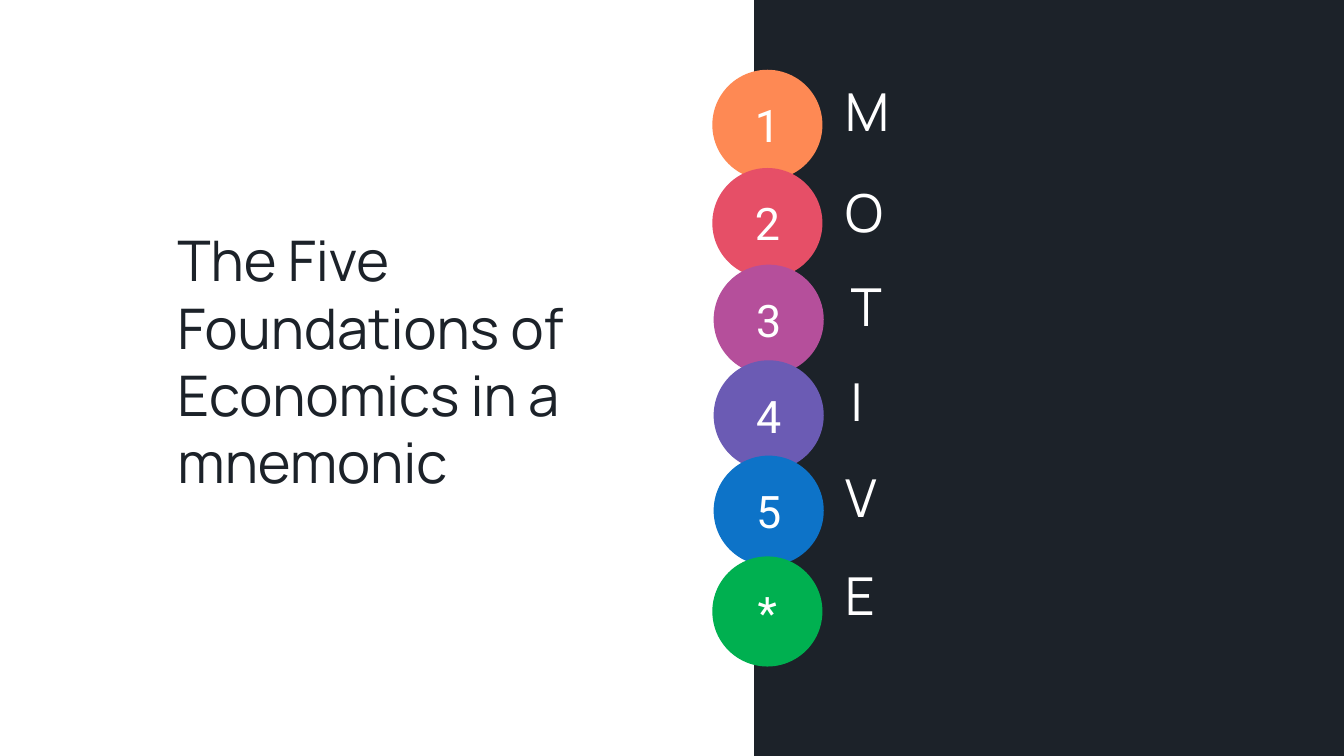
from dataclasses import dataclass

from pptx import Presentation
from pptx.dml.color import RGBColor
from pptx.enum.shapes import MSO_SHAPE
from pptx.enum.text import MSO_ANCHOR, MSO_AUTO_SIZE, PP_ALIGN
from pptx.util import Pt

RECT, OVAL = MSO_SHAPE.RECTANGLE, MSO_SHAPE.OVAL
TOP, MIDDLE = MSO_ANCHOR.TOP, MSO_ANCHOR.MIDDLE
LEFT, CENTER = PP_ALIGN.LEFT, PP_ALIGN.CENTER
GROW = MSO_AUTO_SIZE.SHAPE_TO_FIT_TEXT

SLIDE_W, SLIDE_H = 720, 405
PANEL_X = 404
BADGE_SIZE = 59
LETTER_W, LETTER_H = 175.7, 41


@dataclass(frozen=True)
class Theme:
    dark: str = "1C2229"
    light: str = "FFFFFF"
    heading_font: str = "Manrope"
    badge_font: str = "Roboto"
    title_size: int = 30
    letter_size: int = 28
    badge_size: int = 24


THEME = Theme()

# Badge mark, colour, left and top; letter, left and top
STEPS = [
    ("1", "FE8954", 381.6, 37.4, "M", 445.7, 38.9),
    ("2", "E64F67", 381.6, 90, "O", 445.7, 92.9),
    ("3", "B54F9B", 382.3, 141.8, "T", 448.6, 143.3),
    ("4", "6B5BB4", 382.3, 193, "I", 448.6, 194.4),
    ("5", "0D73C8", 382.3, 244.1, "V", 445.7, 245.5),
    ("*", "00B050", 381.6, 298.1, "E", 445.7, 298.1),
]


def write(sp, text, font, size, color, align=LEFT, anchor=TOP):
    """Put one formatted paragraph into a shape."""
    tf = sp.text_frame
    tf.word_wrap = True
    tf.vertical_anchor = anchor
    p = tf.paragraphs[0]
    for name, value in {"alignment": align, "line_spacing": 1.0}.items():
        setattr(p, name, value)
    r = p.add_run()
    r.text = text
    for name, value in {"name": font, "size": Pt(size), "bold": False}.items():
        setattr(r.font, name, value)
    r.font.color.rgb = RGBColor.from_string(color)


def add_filled(s, kind, box, color):
    """Add a flat shape without outline or shadow."""
    sp = s.shapes.add_shape(kind, *map(Pt, box))
    sp.shadow.inherit = False
    sp.fill.solid()
    sp.fill.fore_color.rgb = RGBColor.from_string(color)
    sp.line.fill.background()
    return sp


def add_title(s, text):
    sp = s.shapes.title
    box = {"left": 87.8, "top": 117.4, "width": 228.2, "height": 152.6}
    for name, value in box.items():
        setattr(sp, name, Pt(value))
    write(sp, text, THEME.heading_font, THEME.title_size, THEME.dark)
    sp.text_frame.auto_size = GROW


def add_badge(s, mark, color, x, y):
    sp = add_filled(s, OVAL, (x, y, BADGE_SIZE, BADGE_SIZE), color)
    write(sp, mark, THEME.badge_font, THEME.badge_size, THEME.light,
          CENTER, MIDDLE)


def add_letter(s, letter, x, y):
    sp = s.shapes.add_textbox(*map(Pt, (x, y, LETTER_W, LETTER_H)))
    write(sp, letter, THEME.heading_font, THEME.letter_size, THEME.light)
    sp.text_frame.auto_size = GROW


def main():
    prs = Presentation()
    prs.slide_width, prs.slide_height = Pt(SLIDE_W), Pt(SLIDE_H)
    s = prs.slides.add_slide(prs.slide_layouts.get_by_name("Title Only"))

    # Title on the left, dark panel on the right
    add_title(s, "The Five Foundations of Economics in a mnemonic")
    add_filled(s, RECT, (PANEL_X, 0, SLIDE_W - PANEL_X, SLIDE_H), THEME.dark)

    # Numbered badges along the panel edge, each with its letter
    for mark, color, badge_x, badge_y, letter, letter_x, letter_y in STEPS:
        add_badge(s, mark, color, badge_x, badge_y)
        add_letter(s, letter, letter_x, letter_y)

    prs.save("out.pptx")


if __name__ == "__main__":
    main()
